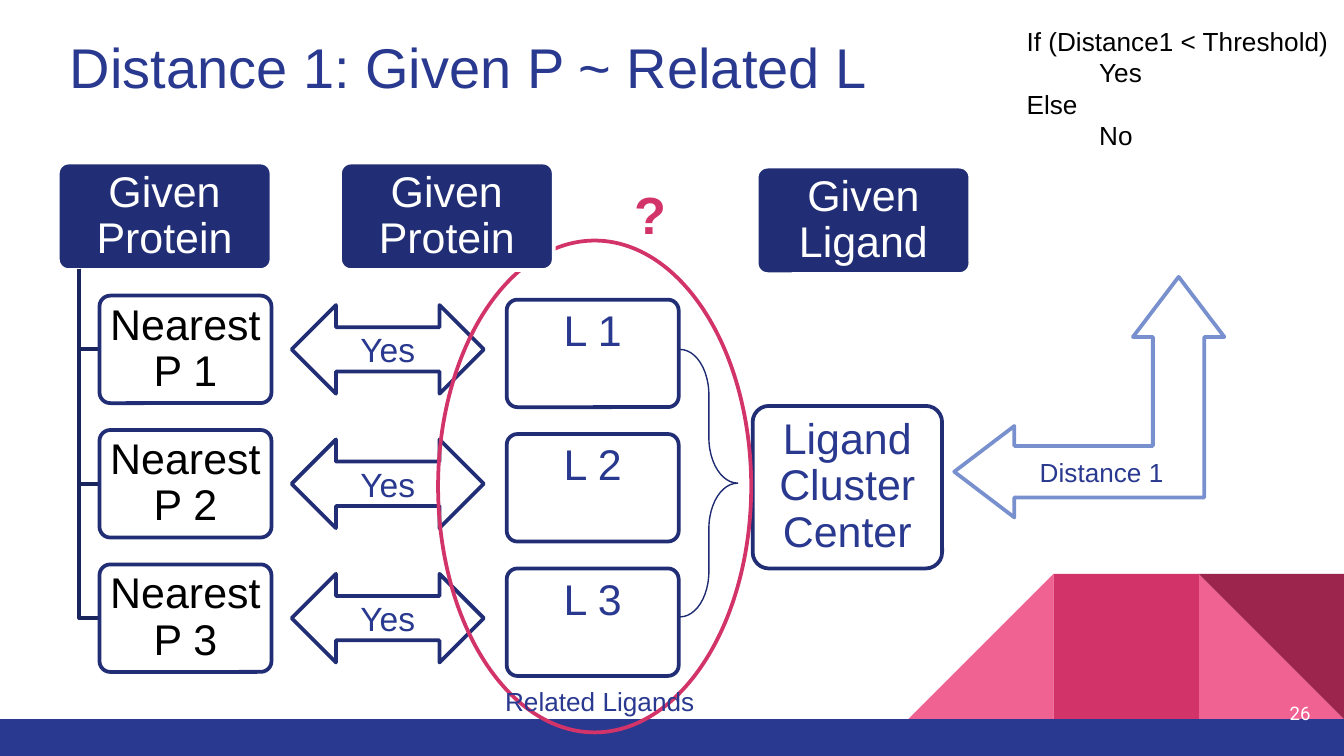
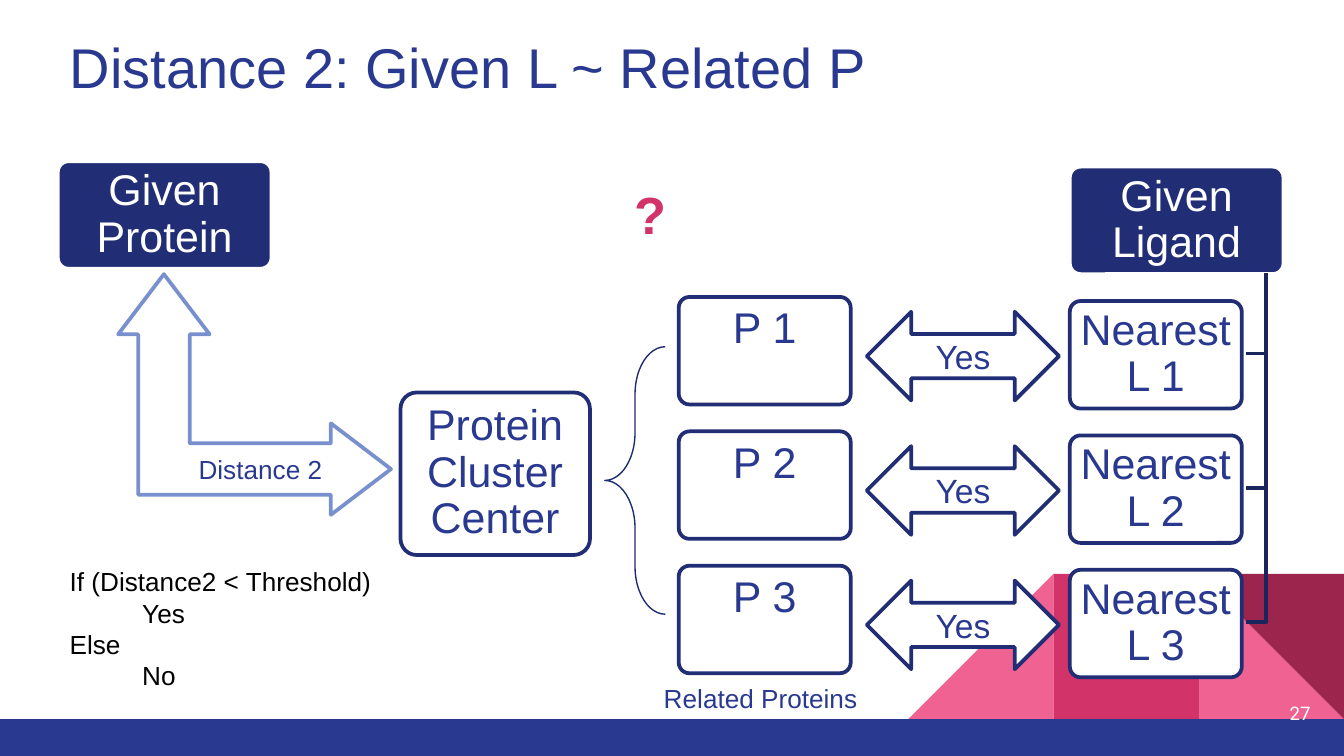
from pptx import Presentation
from pptx import util as u
from pptx.dml.color import RGBColor
from pptx.enum import shapes, text

Inches = u.Inches
Preset = shapes.MSO_SHAPE
Anchor = text.MSO_ANCHOR
Align = text.PP_ALIGN

WHITE = RGBColor(0xFF, 0xFF, 0xFF)
BLACK = RGBColor(0x00, 0x00, 0x00)
BLUE = RGBColor(0x2A, 0x39, 0x90)
NAVY = RGBColor(0x21, 0x2D, 0x74)
BRACE_BLUE = RGBColor(0x1E, 0x2B, 0x73)
TREE_BLUE = RGBColor(0x1A, 0x24, 0x5D)
PALE_BLUE = RGBColor(0x78, 0x90, 0xCD)
PINK = RGBColor(0xF0, 0x62, 0x92)
ROSE = RGBColor(0xD2, 0x33, 0x69)
WINE = RGBColor(0x9C, 0x25, 0x4D)

PAGE_WIDTH = Inches(10)
PAGE_HEIGHT = PAGE_WIDTH * 9 // 16
TITLE_AT = (0.42, 0.14, 6.14, 0.66)
ROW_PITCH = 1.0
ROWS = range(3)
TIGHT = (0.05, 0.03, 0.05, 0.03)
NORMAL = (0.1, 0.05, 0.1, 0.05)
LOOSE = (0.1, 0.1, 0.1, 0.1)


def inches(*lengths):
    return [Inches(length) for length in lengths]


def put_text(box, wording, size=14, color=BLUE, font="Arial", bold=False,
             align=Align.LEFT, anchor=Anchor.TOP, insets=NORMAL,
             spacing=1.0, indents=(), wrap=True):
    """Write one paragraph per line of wording into box."""
    frame = box.text_frame
    frame.word_wrap = wrap
    frame.auto_size = (text.MSO_AUTO_SIZE.NONE if wrap
                       else text.MSO_AUTO_SIZE.SHAPE_TO_FIT_TEXT)
    frame.vertical_anchor = anchor
    (frame.margin_left, frame.margin_top,
     frame.margin_right, frame.margin_bottom) = inches(*insets)
    for index, line in enumerate(wording.split("\n")):
        para = frame.paragraphs[0] if index == 0 else frame.add_paragraph()
        para.alignment = align
        para.line_spacing = spacing
        para.space_before = u.Pt(0)
        if index in indents:
            para._p.get_or_add_pPr().set("marL", str(Inches(0.54)))
        span = para.add_run()
        span.text = line
        span.font.size = u.Pt(size)
        span.font.name = font
        span.font.bold = bold
        span.font.color.rgb = color


class Board:
    """Holds the deck, its shared look and the page being drawn."""

    def __init__(self):
        self.deck = Presentation()
        self.deck.slide_width = PAGE_WIDTH
        self.deck.slide_height = PAGE_HEIGHT
        self.layout = self.deck.slide_layouts[5]
        self.page = None

    def start_page(self, title, number):
        first = self.page is None
        self.page = self.deck.slides.add_slide(self.layout)
        if first:
            self.backdrop()
        heading = self.page.shapes.title
        (heading.left, heading.top,
         heading.width, heading.height) = inches(*TITLE_AT)
        put_text(heading, title, size=30, insets=LOOSE)
        self.label(number, (9.25, 5.09, 0.6, 0.43), size=10, font="Roboto",
                   color=WHITE, align=Align.RIGHT, anchor=Anchor.MIDDLE,
                   insets=LOOSE, wrap=True)

    def backdrop(self):
        """Draw the corner and bottom band, then hand them to the layout."""
        side, top = 1.08, 4.27
        corner = [
            (Preset.RIGHT_TRIANGLE, 8.92, PINK, False, 0),
            (Preset.RIGHT_TRIANGLE, 6.76, PINK, True, 0),
            (Preset.RECTANGLE, 7.84, ROSE, False, 0),
            (Preset.RIGHT_TRIANGLE, 8.92, WINE, False, 180),
        ]
        parts = []
        for preset, left, color, flip, turn in corner:
            part = self.shape(preset, (left, top, side, side), fill=color,
                              flip=flip)
            part.rotation = turn
            parts.append(part)
        parts.append(self.shape(Preset.RECTANGLE, (0, 5.35, 10, 0.28),
                                fill=BLUE))
        for part in parts:
            self.layout.shapes.element.append(part.element)

    def shape(self, preset, at, fill=None, line=None, weight=2, adjust=(),
              flip=False):
        item = self.page.shapes.add_shape(preset, *inches(*at))
        self.paint(item, fill, line, weight)
        for index, value in enumerate(adjust):
            item.adjustments[index] = value
        if flip:
            item.element.spPr.get_or_add_xfrm().set("flipH", "1")
        return item

    def paint(self, item, fill, line, weight):
        item.shadow.inherit = False
        if fill is None:
            item.fill.background()
        else:
            item.fill.solid()
            item.fill.fore_color.rgb = fill
        if line is None:
            item.line.fill.background()
        else:
            item.line.color.rgb = line
            item.line.width = u.Pt(weight)

    def label(self, wording, at, wrap=False, **style):
        box = self.page.shapes.add_textbox(*inches(*at))
        put_text(box, wording, wrap=wrap, **style)

    def given(self, wording, left, top):
        box = self.shape(Preset.ROUNDED_RECTANGLE, (left, top, 1.59, 0.8),
                         fill=NAVY, line=WHITE, adjust=[0.1])
        put_text(box, wording, size=23, color=WHITE, align=Align.CENTER,
                 anchor=Anchor.MIDDLE, insets=TIGHT, spacing=0.9)

    def card(self, wording, left, top, width=1.28, height=0.8, **style):
        box = self.shape(Preset.ROUNDED_RECTANGLE, (left, top, width, height),
                         fill=WHITE, line=NAVY, adjust=[0.1])
        put_text(box, wording, size=23, align=Align.CENTER, spacing=0.9,
                 **style)

    def cards(self, name, left, top, **style):
        for row in ROWS:
            self.card(f"{name} {row + 1}", left, top + row * ROW_PITCH,
                      **style)

    def nearest(self, name, left, top, color=BLUE):
        self.cards(f"Nearest {name}", left, top, color=color,
                   anchor=Anchor.MIDDLE, insets=TIGHT)

    def yes_arrows(self, left, top):
        for row in ROWS:
            arrow = self.shape(Preset.LEFT_RIGHT_ARROW,
                               (left, top + row * ROW_PITCH, 1.43, 0.66),
                               fill=WHITE, line=NAVY)
            put_text(arrow, "Yes", size=18, align=Align.CENTER,
                     anchor=Anchor.MIDDLE)

    def tree(self, trunk, top, tip, first_row):
        for row in ROWS:
            level = first_row + row * ROW_PITCH
            builder = self.page.shapes.build_freeform(*inches(trunk, top))
            builder.add_line_segments(
                [inches(trunk, level), inches(tip, level)], close=False)
            self.paint(builder.convert_to_shape(), None, TREE_BLUE, 2)

    def brace(self, at, flip=False):
        self.shape(Preset.RIGHT_BRACE, at, line=BRACE_BLUE, weight=0.75,
                   adjust=[0.789, 0.5], flip=flip)

    def distance_arrow(self, wording, at, flip=False, insets=NORMAL):
        arrow = self.shape(Preset.LEFT_UP_ARROW, at, fill=WHITE,
                           line=PALE_BLUE, adjust=[0.214, 0.19, 0.25],
                           flip=flip)
        put_text(arrow, wording, align=Align.CENTER, anchor=Anchor.MIDDLE,
                 insets=insets)

    def question(self):
        self.label("?", (4.62, 1.31, 0.44, 0.57), size=28, color=ROSE,
                   bold=True)

    def rule(self, distance, left, top):
        self.label(f"If ({distance} < Threshold)\nYes\nElse\nNo",
                   (left, top, 2.46, 1.04), color=BLACK, indents=(1, 3))


def related_ligands(board):
    board.start_page("Distance 1: Given P ~ Related L", "26")

    # Given protein and its nearest proteins
    board.given("Given Protein", 0.43, 1.21)
    board.tree(trunk=0.59, top=2, tip=0.74, first_row=2.6)
    board.nearest("P", 0.74, 2.2, color=BLACK)

    # Related ligands and their cluster center
    board.cards("L", 3.77, 2.23)
    board.yes_arrows(2.17, 2.27)
    board.brace((5.06, 2.6, 0.43, 1.99))
    board.card("Ligand Cluster Center", 5.6, 3.02, 1.41, 1.21)
    board.shape(Preset.OVAL, (3.26, 1.79, 2.33, 3.66), line=ROSE)
    board.label("Related Ligands", (3.66, 5.05, 1.62, 0.34))

    # Comparison with the given ligand
    board.given("Given Protein", 2.53, 1.21)
    board.given("Given Ligand", 5.63, 1.24)
    board.question()
    board.distance_arrow("Distance 1", (7.1, 2.06, 2.01, 1.79),
                         insets=(0.37, 0.05, 0.1, 0.05))
    board.rule("Distance1", 7.54, 0.14)


def related_proteins(board):
    board.start_page("Distance 2: Given L ~ Related P", "27")

    # Given ligand and its nearest ligands
    board.given("Given Ligand", 7.96, 1.24)
    board.nearest("L", 7.96, 2.24)
    board.tree(trunk=9.42, top=2.03, tip=9.27, first_row=2.63)

    # Related proteins and their cluster center
    board.cards("P", 5.05, 2.21)
    board.yes_arrows(6.45, 2.32)
    board.brace((4.5, 2.58, 0.45, 1.99), flip=True)
    board.card("Protein Cluster Center", 2.98, 2.92, 1.41, 1.21)
    board.label("Related Proteins", (4.84, 5.03, 1.65, 0.34))

    # Comparison with the given protein
    board.given("Given Protein", 0.43, 1.2)
    board.question()
    board.distance_arrow("Distance 2", (0.88, 2.04, 2.03, 1.79), flip=True)
    board.rule("Distance2", 0.42, 4.16)


def main():
    board = Board()
    related_ligands(board)
    related_proteins(board)
    board.deck.save("out.pptx")


if __name__ == "__main__":
    main()
